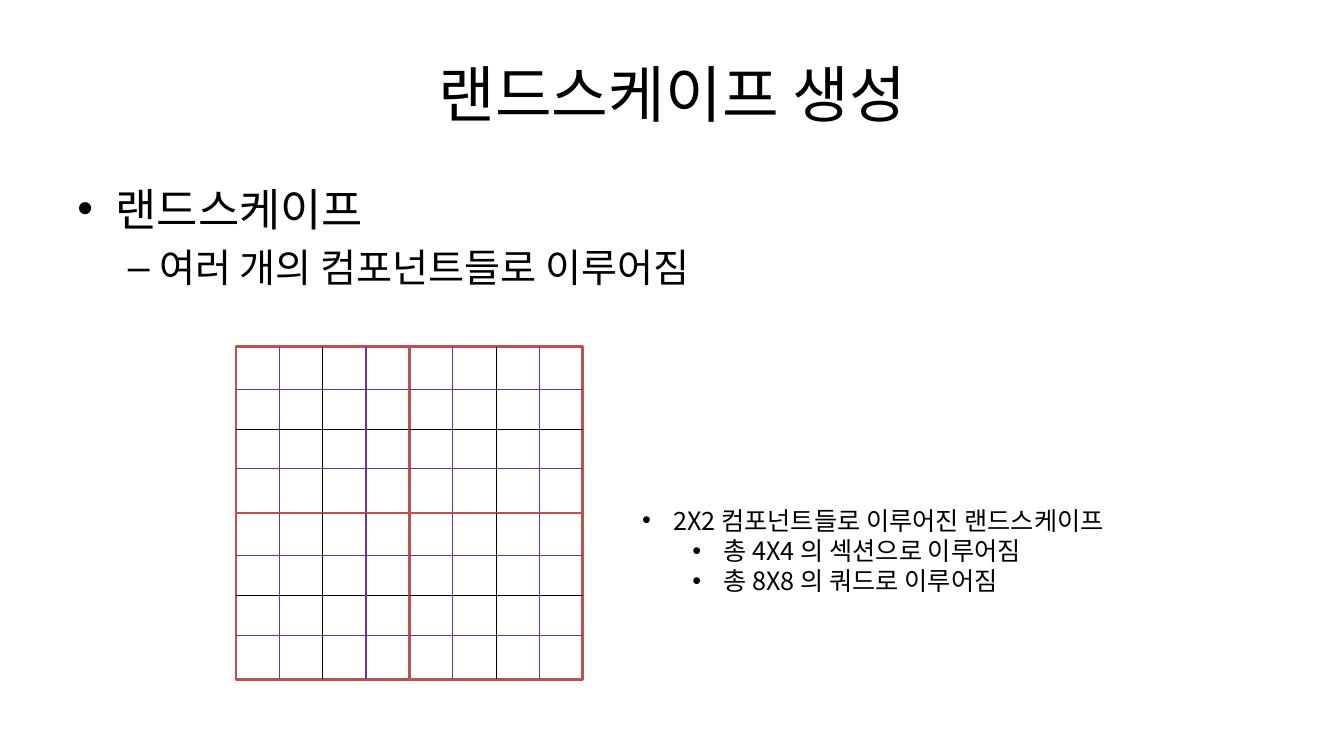
from dataclasses import dataclass
from itertools import product

from lxml import etree
from pptx import Presentation
from pptx import util as u
from pptx.dml import color
from pptx.enum import shapes, text
from pptx.oxml import ns

FONT = "Noto Sans CJK KR"
COLORS = {"ink": "000000", "paper": "FFFFFF", "component": "C0504D", "quad": "7030A0"}


@dataclass
class Line:
    words: str
    size: int
    level: int = 0
    bullet: str = ""
    margin: float = 0
    hanging: float = 0
    before: float = 0


@dataclass
class TextBlock:
    left: float
    top: float
    width: float
    height: float
    lines: list[Line]
    anchor: text.MSO_ANCHOR = text.MSO_ANCHOR.TOP
    align: text.PP_ALIGN = text.PP_ALIGN.LEFT


@dataclass
class Divider:
    offset: float
    color: str


def rgb(name: str) -> color.RGBColor:
    return color.RGBColor.from_string(COLORS[name])


def format_line(para, line: Line, align) -> None:
    para.text = line.words
    para.level = line.level
    para.alignment = align
    para.space_before = u.Pt(line.before)
    span = para.runs[0]
    span.font.size = u.Pt(line.size)
    span.font.name = FONT
    span.font.color.rgb = rgb("ink")
    east_asian = etree.SubElement(span.font._element, ns.qn("a:ea"))
    east_asian.set("typeface", FONT)
    if line.bullet:
        properties = para._p.get_or_add_pPr()
        properties.set("marL", str(u.Inches(line.margin)))
        properties.set("indent", str(u.Inches(-line.hanging)))
        etree.SubElement(properties, ns.qn("a:buFont")).set("typeface", "Arial")
        etree.SubElement(properties, ns.qn("a:buChar")).set("char", line.bullet)


def add_text(page, block: TextBlock) -> None:
    box = page.shapes.add_textbox(*map(u.Inches, (block.left, block.top, block.width, block.height)))
    frame = box.text_frame
    frame.word_wrap = True
    frame.vertical_anchor = block.anchor
    for index, line in enumerate(block.lines):
        para = frame.add_paragraph() if index else frame.paragraphs[0]
        format_line(para, line, block.align)


def add_divider(page, start: tuple[float, float], end: tuple[float, float], color_name: str) -> None:
    divider = page.shapes.add_connector(
        shapes.MSO_CONNECTOR.STRAIGHT, *map(u.Inches, (*start, *end)))
    divider.line.color.rgb = rgb(color_name)
    divider.line.width = u.Pt(0.75)
    etree.SubElement(divider._element.spPr, ns.qn("a:effectLst"))


def add_component(page, left: float, top: float) -> None:
    square = page.shapes.add_shape(
        shapes.MSO_SHAPE.RECTANGLE, *map(u.Inches, (left, top, WIDTH, HEIGHT)))
    square.shadow.inherit = False
    square.fill.solid()
    square.fill.fore_color.rgb = rgb("paper")
    square.line.color.rgb = rgb("component")
    square.line.width = u.Pt(2)
    for row in ROWS:
        y = top + row.offset
        add_divider(page, (left, y), (left + WIDTH, y), row.color)
    for column in COLUMNS:
        x = left + column.offset
        add_divider(page, (x, top), (x, top + HEIGHT), column.color)


# Landscape grid: 2x2 components, each cut into sections and quads
GRID_LEFT, GRID_TOP = 2.34, 3.44
WIDTH, HEIGHT = 1.72, 1.65
ROWS = [Divider(0.82, "ink"), Divider(0.42, "quad"), Divider(1.21, "quad")]
COLUMNS = [Divider(WIDTH * part / 4, name) for part, name in ((2, "ink"), (1, "quad"), (3, "quad"))]

# Title, outline and caption
BLOCKS = [
    TextBlock(0.67, 0.3, 12, 1.25, [Line("랜드스케이프 생성", 44)],
              text.MSO_ANCHOR.MIDDLE, text.PP_ALIGN.CENTER),
    TextBlock(0.67, 1.75, 12, 4.95, [
        Line("랜드스케이프", 32, 0, "•", 0.38, 0.38, 6.4),
        Line("여러 개의 컴포넌트들로 이루어짐", 28, 1, "–", 0.81, 0.31, 5.6)]),
    TextBlock(6.27, 4.96, 5.24, 1.01, [
        Line("2X2 컴포넌트들로 이루어진 랜드스케이프", 18, 0, "•", 0.31, 0.31),
        Line("총 4X4 의 섹션으로 이루어짐", 18, 1, "•", 0.81, 0.31),
        Line("총 8X8 의 쿼드로 이루어짐", 18, 1, "•", 0.81, 0.31)]),
]

deck = Presentation()
deck.slide_width, deck.slide_height = u.Inches(13.33), u.Inches(7.5)
page = deck.slides.add_slide(deck.slide_layouts[6])
for block in BLOCKS:
    add_text(page, block)
for grid_row, grid_column in product(range(2), repeat=2):
    add_component(page, GRID_LEFT + grid_column * WIDTH, GRID_TOP + grid_row * HEIGHT)
deck.save("out.pptx")
